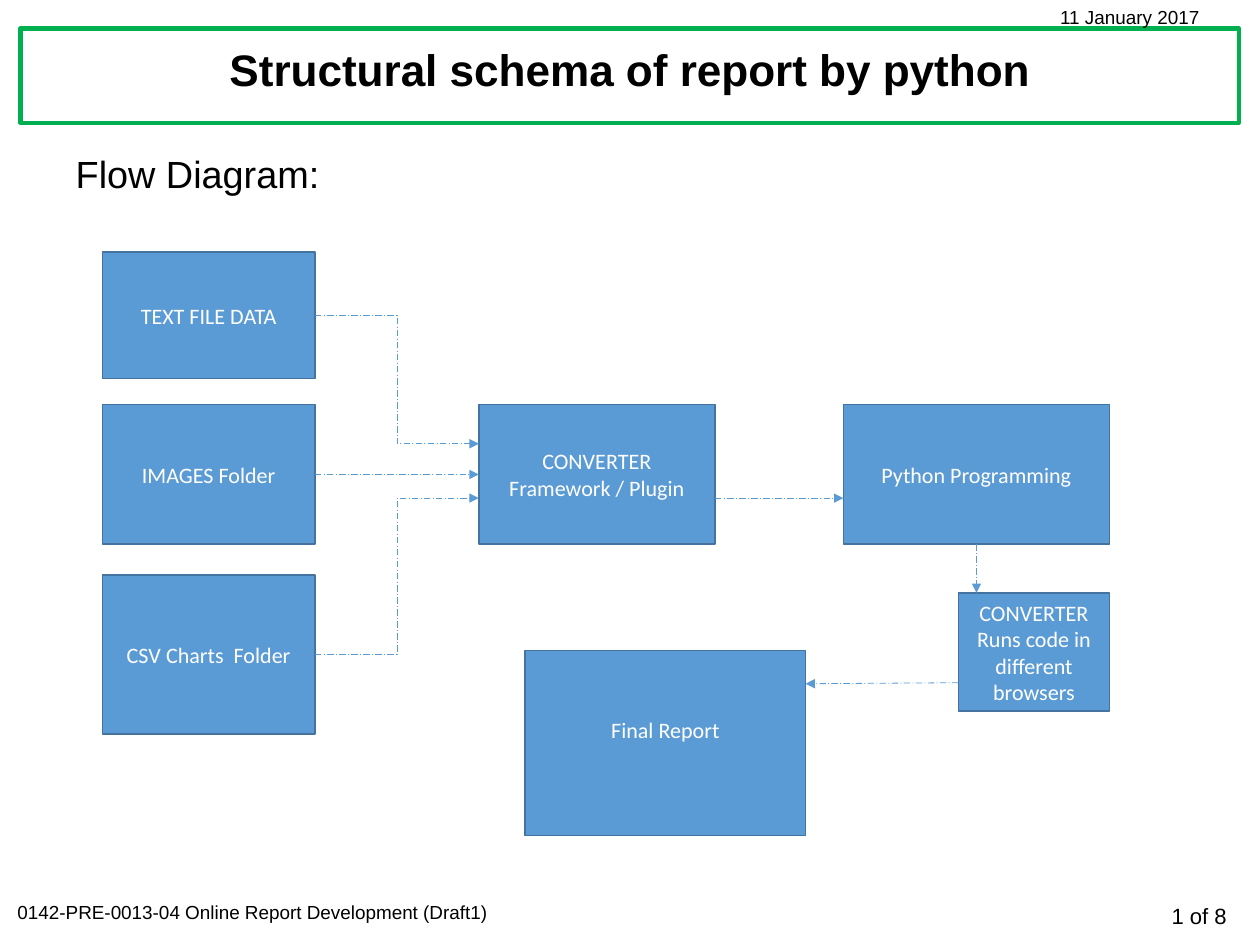
from dataclasses import dataclass

from lxml import etree
from pptx import Presentation
from pptx.dml.color import RGBColor
from pptx.enum import dml, shapes, text
from pptx.oxml import ns
from pptx.util import Pt


@dataclass(frozen=True)
class Theme:
    ink: RGBColor = RGBColor(0, 0, 0)
    paper: RGBColor = RGBColor(255, 255, 255)
    green: RGBColor = RGBColor(0, 0xB0, 0x50)
    blue: RGBColor = RGBColor(0x5B, 0x9B, 0xD5)
    edge: RGBColor = RGBColor(0x43, 0x73, 0x9E)
    head: str = "Arial"
    body: str = "Calibri"
    title: int = 28
    lead: int = 24
    label: int = 14
    small: int = 12


T = Theme()
ALIGN = text.PP_ALIGN
MID = text.MSO_ANCHOR.MIDDLE


def write(frame, lines, size, font=T.head, color=T.ink, align=ALIGN.LEFT, bold=False):
    frame.word_wrap = True
    for i, line in enumerate(lines):
        para = frame.paragraphs[0] if i == 0 else frame.add_paragraph()
        para.alignment = align
        run = para.add_run()
        run.text = line
        run.font.name = font
        run.font.size = Pt(size)
        run.font.bold = bold
        run.font.color.rgb = color
    return frame


def label(slide, box, line, size, **style):
    area = slide.shapes.add_textbox(*map(Pt, box))
    return write(area.text_frame, [line], size, **style)


def panel(slide, box, fill, edge, width):
    shape = slide.shapes.add_shape(shapes.MSO_SHAPE.RECTANGLE, *map(Pt, box))
    shape.shadow.inherit = False
    shape.fill.solid()
    shape.fill.fore_color.rgb = fill
    shape.line.color.rgb = edge
    shape.line.width = Pt(width)
    return shape


def node(slide, box, *lines):
    shape = panel(slide, box, T.blue, T.edge, 1)
    frame = write(shape.text_frame, lines, T.label, T.body, T.paper, ALIGN.CENTER)
    frame.vertical_anchor = MID
    return shape


def spot(shape, across, down):
    return (int(shape.left + shape.width * across),
            int(shape.top + shape.height * down))


def link(slide, start, end, kind=shapes.MSO_CONNECTOR.STRAIGHT):
    wire = slide.shapes.add_connector(kind, *start, *end)
    wire.line.color.rgb = T.blue
    wire.line.width = Pt(0.5)
    wire.line.dash_style = dml.MSO_LINE.LONG_DASH_DOT
    props = wire.element.spPr
    etree.SubElement(props.find(ns.qn("a:ln")), ns.qn("a:tailEnd"), type="triangle")
    etree.SubElement(props, ns.qn("a:effectLst"))


def header(slide, box):
    x, y, w, h = box
    panel(slide, (x, y + 18, w, 60), T.paper, T.green, 2.75)
    label(slide, (x + 653, y, 121, 22), "11 January 2017", T.small)
    frame = label(slide, (x + 2, y + 16, w - 4, 60), "Structural schema of report by python",
                  T.title, align=ALIGN.CENTER, bold=True)
    frame.vertical_anchor = MID
    frame.paragraphs[0].line_spacing = 0.9


def flow(slide, box):
    x, y, w, h = box
    label(slide, (x - 24, y, w + 88, 40), "Flow Diagram:", T.lead)
    row, tall = y + 165, 88.5
    data = node(slide, (x, y + 68, 135, 80.5), "TEXT FILE DATA")
    images = node(slide, (x, row, 135, tall), "IMAGES Folder")
    charts = node(slide, (x, y + 273, 135, 101), "CSV Charts  Folder")
    plugin = node(slide, (x + 239, row, 150, tall), "CONVERTER", "Framework / Plugin")
    python = node(slide, (x + w - 169, row, 169, tall), "Python Programming")
    runner = node(slide, (x + w - 96, y + 284.5, 96, 75),
                  "CONVERTER", "Runs code in different browsers")
    report = node(slide, (x + 268.5, y + 321, 178, 117.5), "Final Report")
    report.text_frame.margin_bottom = Pt(20.5)

    bent = shapes.MSO_CONNECTOR.ELBOW
    link(slide, spot(data, 1, 0.5), spot(plugin, 0, 0.28), bent)
    link(slide, spot(images, 1, 0.5), spot(plugin, 0, 0.5))
    link(slide, spot(charts, 1, 0.5), spot(plugin, 0, 0.67), bent)
    link(slide, spot(plugin, 1, 0.67), spot(python, 0, 0.67))
    link(slide, spot(python, 0.5, 1), spot(runner, 0.12, 0))
    link(slide, spot(runner, 0, 0.76), spot(report, 1, 0.18))


def footer(slide, box):
    x, y, w, h = box
    label(slide, (x, y, 316, h), "0142-PRE-0013-04 Online Report Development (Draft1)", T.small)
    label(slide, (x + w - 110, y + 1.5, 110, h), "1 of 8", T.label, align=ALIGN.RIGHT)


def main():
    deck = Presentation()
    deck.slide_width, deck.slide_height = Pt(800), Pt(600)
    slide = deck.slides.add_slide(deck.slide_layouts[6])
    header(slide, (13, 0, 773.5, 78))
    flow(slide, (65, 92, 639.5, 438.5))
    footer(slide, (4, 568, 782, 24))
    deck.save("out.pptx")


if __name__ == "__main__":
    main()
